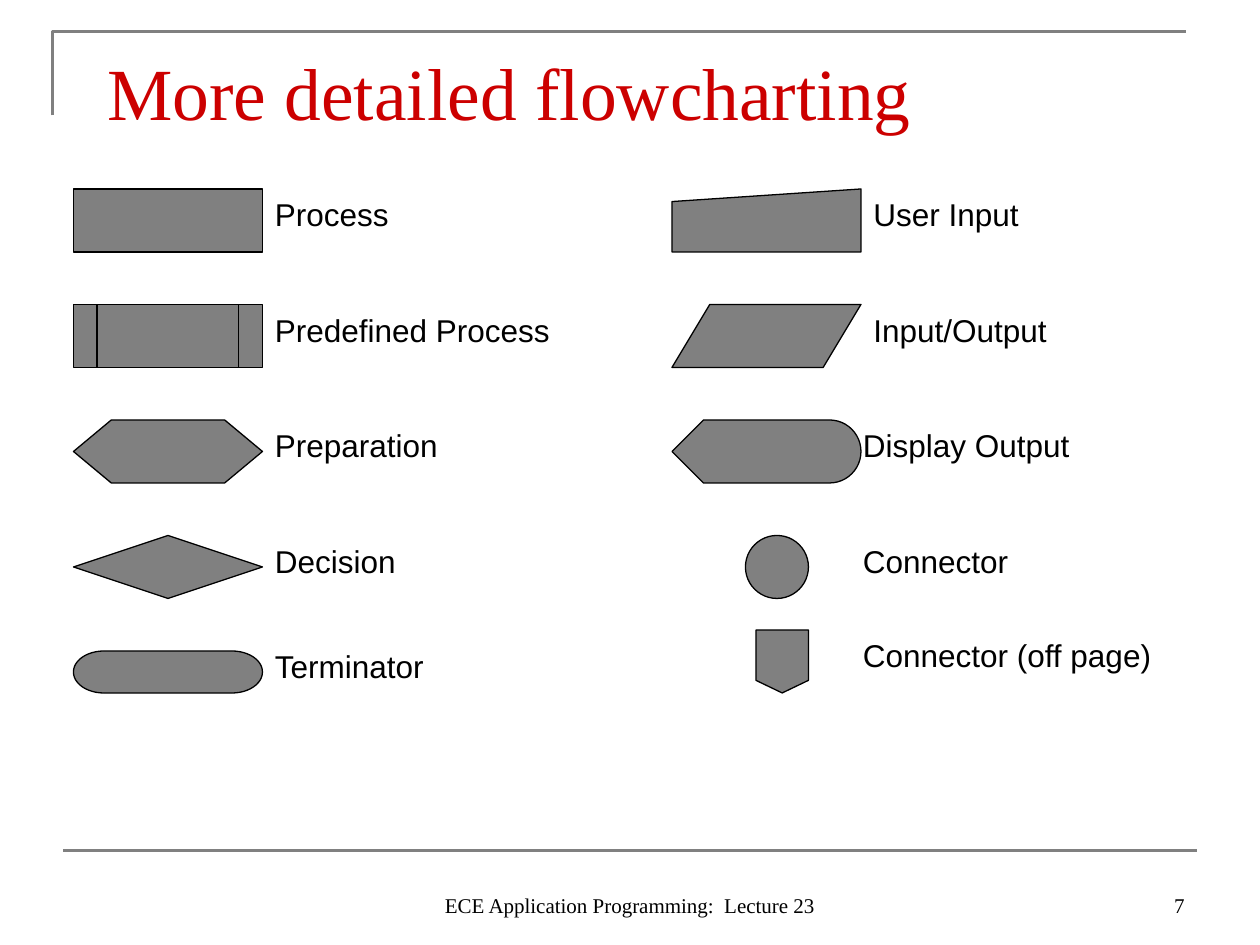
from dataclasses import dataclass

from lxml import etree
from pptx import Presentation
from pptx.dml.color import RGBColor
from pptx.enum.shapes import MSO_CONNECTOR, MSO_SHAPE
from pptx.enum.text import MSO_ANCHOR, MSO_AUTO_SIZE, PP_ALIGN
from pptx.oxml.ns import qn
from pptx.util import Pt

LEFT, CENTER, RIGHT = PP_ALIGN.LEFT, PP_ALIGN.CENTER, PP_ALIGN.RIGHT
TOP, BOTTOM = MSO_ANCHOR.TOP, MSO_ANCHOR.BOTTOM
GROW, FIXED = MSO_AUTO_SIZE.SHAPE_TO_FIT_TEXT, MSO_AUTO_SIZE.NONE
STRAIGHT = MSO_CONNECTOR.STRAIGHT
TITLE_ONLY = 5


@dataclass(frozen=True)
class Theme:
    title_color: RGBColor = RGBColor(0xCC, 0x00, 0x00)
    ink: RGBColor = RGBColor(0x00, 0x00, 0x00)
    gray: RGBColor = RGBColor(0x80, 0x80, 0x80)
    heading_font: str = "Times New Roman"
    label_font: str = "Arial"
    title_size: float = 42
    label_size: float = 18
    footer_size: float = 12
    rule_width: float = 1.5
    outline_width: float = 0.75


def write(frame, text, *, font, size, color, align=LEFT, anchor=TOP,
          autosize=FIXED, inset_top=3.6, inset_bottom=3.6):
    frame.word_wrap = True
    frame.auto_size = autosize
    frame.vertical_anchor = anchor
    frame.margin_left = frame.margin_right = Pt(7.2)
    frame.margin_top, frame.margin_bottom = Pt(inset_top), Pt(inset_bottom)
    frame.text = text
    paragraph = frame.paragraphs[0]
    paragraph.alignment = align
    run_font = paragraph.runs[0].font
    run_font.name, run_font.size = font, Pt(size)
    run_font.color.rgb = color


class SlideBuilder:
    def __init__(self, slide, theme):
        self.slide, self.shapes, self.theme = slide, slide.shapes, theme

    def outline(self, item, color, width):
        item.line.color.rgb = color
        item.line.width = Pt(width)

    def title(self, text, x, y, w, h):
        heading = self.shapes.title
        heading.left, heading.top, heading.width, heading.height = map(Pt, (x, y, w, h))
        write(heading.text_frame, text, font=self.theme.heading_font,
              size=self.theme.title_size, color=self.theme.title_color,
              inset_top=8.6, inset_bottom=0)

    def corner(self, start, *points):
        pen = self.shapes.build_freeform(*map(Pt, start))
        pen.add_line_segments([(Pt(x), Pt(y)) for x, y in points], close=False)
        bracket = pen.convert_to_shape()
        bracket.fill.background()
        bracket.shadow.inherit = False
        self.outline(bracket, self.theme.gray, self.theme.rule_width)

    def rule(self, x1, y1, x2, y2):
        rule = self.shapes.add_connector(STRAIGHT, *map(Pt, (x1, y1, x2, y2)))
        self.outline(rule, self.theme.gray, self.theme.rule_width)
        etree.SubElement(rule._element.spPr, qn("a:effectLst"))

    def symbol(self, kind, x, y, w, h):
        symbol = self.shapes.add_shape(kind, *map(Pt, (x, y, w, h)))
        symbol.shadow.inherit = False
        symbol.fill.solid()
        symbol.fill.fore_color.rgb = self.theme.gray
        self.outline(symbol, self.theme.ink, self.theme.outline_width)

    def text(self, text, x, y, w, h, **style):
        box = self.shapes.add_textbox(*map(Pt, (x, y, w, h)))
        write(box.text_frame, text, color=self.theme.ink, **style)

    def label(self, text, x, y, w):
        self.text(text, x, y, w, 28.8, font=self.theme.label_font,
                  size=self.theme.label_size, autosize=GROW)

    def footer(self, text, x, w, align):
        self.text(text, x, 492, w, 36, font=self.theme.heading_font,
                  size=self.theme.footer_size, align=align, anchor=BOTTOM)


def main():
    deck = Presentation()
    deck.slide_width, deck.slide_height = Pt(720), Pt(540)
    page = SlideBuilder(deck.slides.add_slide(deck.slide_layouts[TITLE_ONLY]), Theme())

    # Frame and title
    page.corner((30, 66), (30, 18), (678, 18))
    page.rule(36, 486, 684, 486)
    page.title("More detailed flowcharting", 54, 18, 612, 48)

    # Full-size symbols on an even grid: kind, label, label left, label width
    columns = {
        42: [
            (MSO_SHAPE.FLOWCHART_PROCESS, "Process", 150, 114),
            (MSO_SHAPE.FLOWCHART_PREDEFINED_PROCESS, "Predefined Process", 150, 204),
            (MSO_SHAPE.FLOWCHART_PREPARATION, "Preparation", 150, 204),
            (MSO_SHAPE.FLOWCHART_DECISION, "Decision", 150, 204),
        ],
        384: [
            (MSO_SHAPE.FLOWCHART_MANUAL_INPUT, "User Input", 492, 204),
            (MSO_SHAPE.FLOWCHART_DATA, "Input/Output", 492, 162),
            (MSO_SHAPE.FLOWCHART_DISPLAY, "Display Output", 486, 204),
        ],
    }
    first_row, row_pitch = 108, 66
    for column_left, entries in columns.items():
        for row, (kind, name, label_left, label_width) in enumerate(entries):
            top = first_row + row * row_pitch
            page.symbol(kind, column_left, top, 108, 36)
            page.label(name, label_left, top, label_width)

    # Smaller symbols with their own sizes
    page.symbol(MSO_SHAPE.FLOWCHART_TERMINATOR, 42, 372, 108, 24)
    page.label("Terminator", 150, 366, 204)
    page.symbol(MSO_SHAPE.FLOWCHART_CONNECTOR, 426, 306, 36, 36)
    page.label("Connector", 486, 306, 204)
    page.symbol(MSO_SHAPE.FLOWCHART_OFFPAGE_CONNECTOR, 432, 360, 30, 36)
    page.label("Connector (off page)", 486, 360, 222)

    # Footer
    page.footer("7", 516, 168, RIGHT)
    page.footer("ECE Application Programming:  Lecture 23", 246, 228, CENTER)

    deck.save("out.pptx")


if __name__ == "__main__":
    main()
